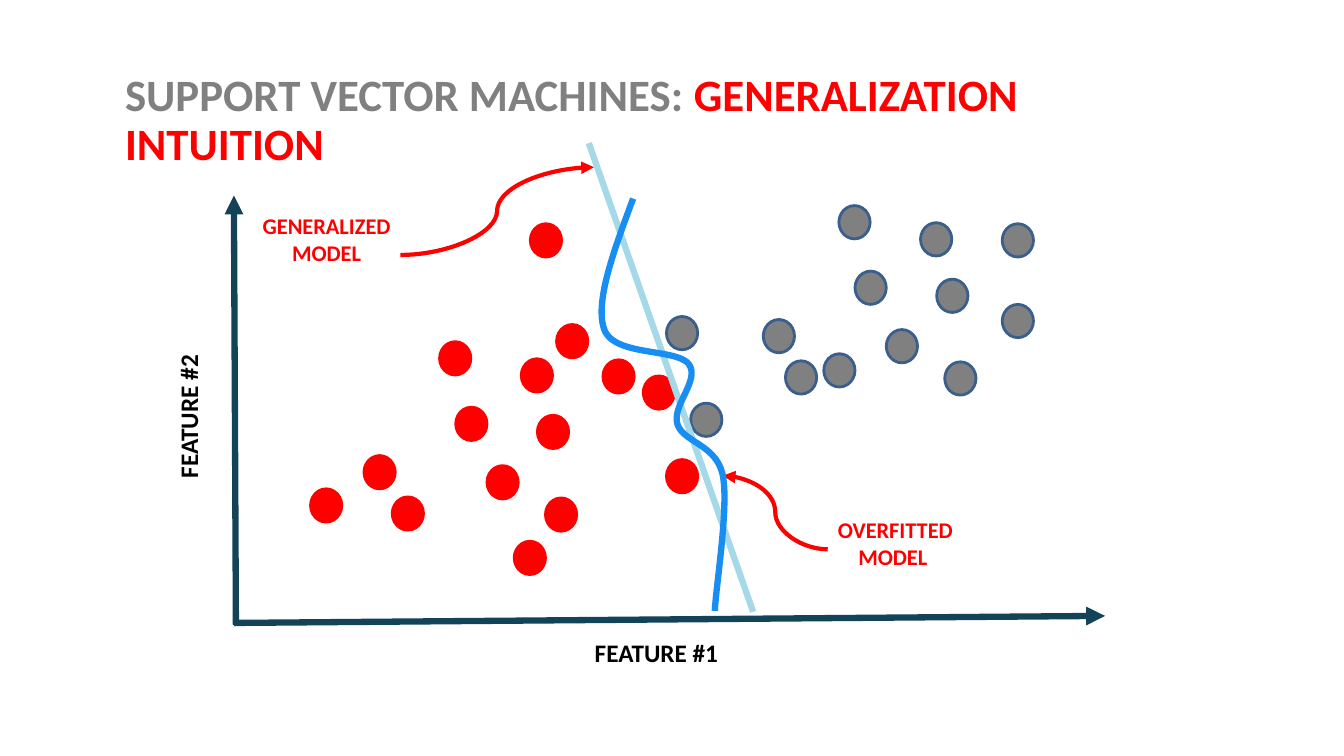
"""Build the slide on the generalization intuition of support vector machines."""
from dataclasses import dataclass

from lxml import etree
from pptx import Presentation
from pptx import util as u
from pptx.dml import color
from pptx.enum import shapes, text
from pptx.oxml import ns

PX = 9144


@dataclass(frozen=True)
class Theme:
    font: str = "Calibri"
    gray: str = "808080"
    red: str = "FF0000"
    black: str = "000000"
    gray_edge: str = "3A5F8C"
    axis: str = "124359"
    generalized: str = "A5D9E7"
    overfitted: str = "188EF2"
    title_size: int = 32
    axis_size: int = 18
    label_size: int = 16


def px(*lengths):
    return [u.Emu(round(n * PX)) for n in lengths]


def rgb(value):
    return color.RGBColor.from_string(value)


def write(p, content, *, font, size, fill, bold=True, align=None, spacing=None):
    r = p.add_run()
    r.text = content
    r.font.name, r.font.size, r.font.bold = font, u.Pt(size), bold
    r.font.color.rgb = rgb(fill)
    if align is not None:
        p.alignment = align
    if spacing is not None:
        p.line_spacing = spacing


def bezier(start, c1, c2, end, steps=24):
    for i in range(1, steps + 1):
        t = i / steps
        yield tuple(
            (1 - t) ** 3 * a + 3 * (1 - t) ** 2 * t * b + 3 * (1 - t) * t ** 2 * c + t ** 3 * d
            for a, b, c, d in zip(start, c1, c2, end)
        )


class Canvas:
    def __init__(self, s, theme):
        self.s, self.theme = s, theme

    def title(self, box, parts):
        sp = self.s.shapes.title
        sp.left, sp.top, sp.width, sp.height = px(*box)
        tf = sp.text_frame
        tf.word_wrap, tf.auto_size = True, text.MSO_AUTO_SIZE.NONE
        tf.vertical_anchor = text.MSO_ANCHOR.MIDDLE
        tf.margin_left = tf.margin_right = px(7)[0]
        tf.margin_top = tf.margin_bottom = px(4)[0]
        for content, fill in parts:
            write(tf.paragraphs[0], content, font=self.theme.font, size=self.theme.title_size,
                  fill=fill, align=text.PP_ALIGN.LEFT, spacing=0.9)

    def label(self, box, lines, size, fill, align=text.PP_ALIGN.LEFT, rotation=0):
        sp = self.s.shapes.add_textbox(*px(*box))
        sp.rotation = rotation
        tf = sp.text_frame
        tf.word_wrap, tf.auto_size = False, text.MSO_AUTO_SIZE.SHAPE_TO_FIT_TEXT
        for i, content in enumerate(lines):
            p = tf.add_paragraph() if i else tf.paragraphs[0]
            write(p, content, font=self.theme.font, size=size, fill=fill, align=align)

    def point(self, left, top, fill, edge):
        sp = self.s.shapes.add_shape(shapes.MSO_SHAPE.OVAL, *px(left, top, 31, 33))
        sp.shadow.inherit = False
        sp.fill.solid()
        sp.fill.fore_color.rgb = rgb(fill)
        self.stroke(sp, edge, 2)

    def stroke(self, sp, fill, width):
        sp.line.color.rgb = rgb(fill)
        sp.line.width = u.Pt(width)

    def line(self, ends, fill, width, kind=shapes.MSO_CONNECTOR.STRAIGHT, arrow=True):
        sp = self.s.shapes.add_connector(kind, *px(*ends))
        self.stroke(sp, fill, width)
        props = sp.element.spPr
        if arrow:
            etree.SubElement(props.find(ns.qn("a:ln")), ns.qn("a:tailEnd"), type="triangle")
        etree.SubElement(props, ns.qn("a:effectLst"))

    def curve(self, start, segments, fill, width):
        points = [start]
        for segment in segments:
            points.extend(bezier(points[-1], *segment))
        builder = self.s.shapes.build_freeform(*px(*start))
        builder.add_line_segments([px(*point) for point in points[1:]], close=False)
        sp = builder.convert_to_shape()
        sp.shadow.inherit = False
        sp.fill.background()
        self.stroke(sp, fill, width)


GRAY_POINTS = [
    (704, 350), (757, 317), (779, 358), (879, 327), (848, 269), (832, 204), (913, 221),
    (929, 277), (937, 359), (817, 351), (994, 302), (994, 222), (661, 314), (685, 400),
]
RED_POINTS = [
    (308, 485), (361, 452), (389, 493), (483, 462), (452, 404), (436, 339), (517, 356),
    (533, 412), (541, 494), (510, 537), (638, 373), (598, 357), (552, 322), (526, 222),
    (661, 456),
]
GRAY_POINTS.remove((704, 350))
OVERFIT_START = (628, 197)
OVERFIT_SEGMENTS = [
    ((609, 248), (590, 299), (599, 326)),
    ((608, 354), (670, 345), (683, 361)),
    ((695, 377), (666, 402), (672, 421)),
    ((678, 439), (711, 441), (717, 472)),
    ((723, 503), (710, 582), (709, 606)),
]


def main():
    prs = Presentation()
    prs.slide_width, prs.slide_height = px(1333, 750)
    theme = Theme()
    c = Canvas(prs.slides.add_slide(prs.slide_layouts[5]), theme)
    c.title((117, 66, 925, 109), [("SUPPORT VECTOR MACHINES: ", theme.gray),
                                  ("GENERALIZATION INTUITION", theme.red)])
    for ends in ((232, 618, 1096, 611), (234, 620, 232, 194)):
        c.line(ends, theme.axis, 4.5)
    for points, fill, edge in ((GRAY_POINTS, theme.gray, theme.gray_edge),
                               (RED_POINTS, theme.red, theme.red)):
        for left, top in points:
            c.point(left, top, fill, edge)
    c.label((580, 627, 171, 40), ["FEATURE #1"], theme.axis_size, theme.black)
    c.label((101, 379, 171, 40), ["FEATURE #2"], theme.axis_size, theme.black, rotation=270)
    c.line((584, 142, 747, 607), theme.generalized, 4.5, arrow=False)
    for box, name, arrow in (
        ((233, 206, 187, 64), "GENERALIZED ", (397, 253, 589, 166)),
        ((804, 507, 168, 64), "OVERFITTED", (821, 545, 717, 472)),
    ):
        c.label(box, [name, "MODEL "], theme.label_size, theme.red, text.PP_ALIGN.CENTER)
        c.line(arrow, theme.red, 3, shapes.MSO_CONNECTOR.CURVE)
    c.curve(OVERFIT_START, OVERFIT_SEGMENTS, theme.overfitted, 4.5)
    prs.save("out.pptx")


if __name__ == "__main__":
    main()
